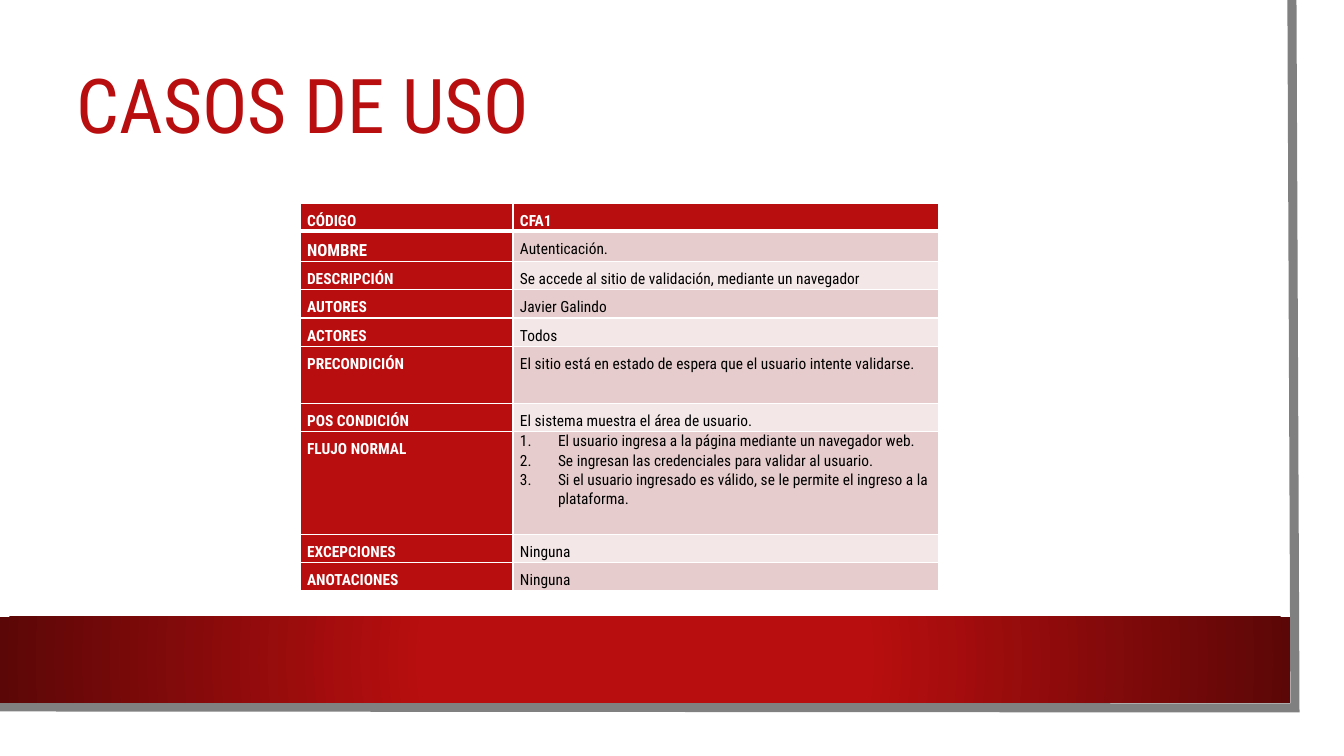
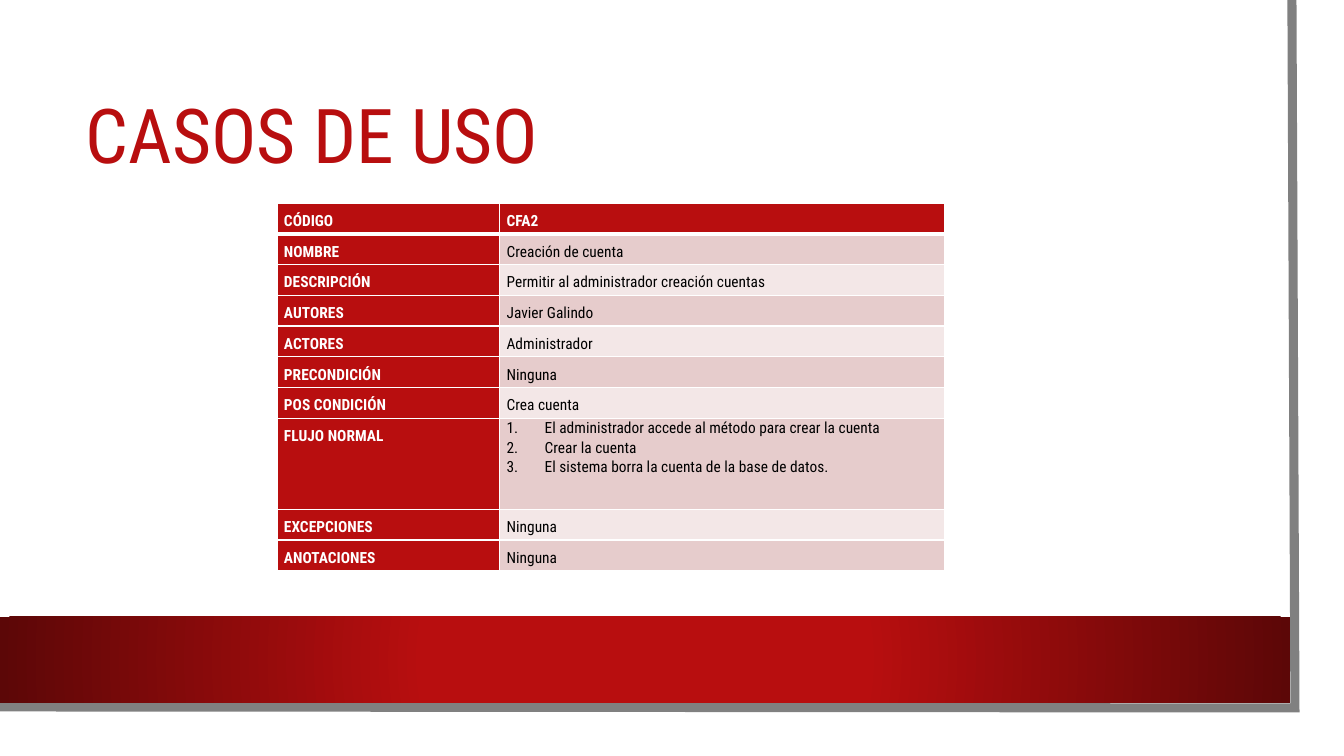
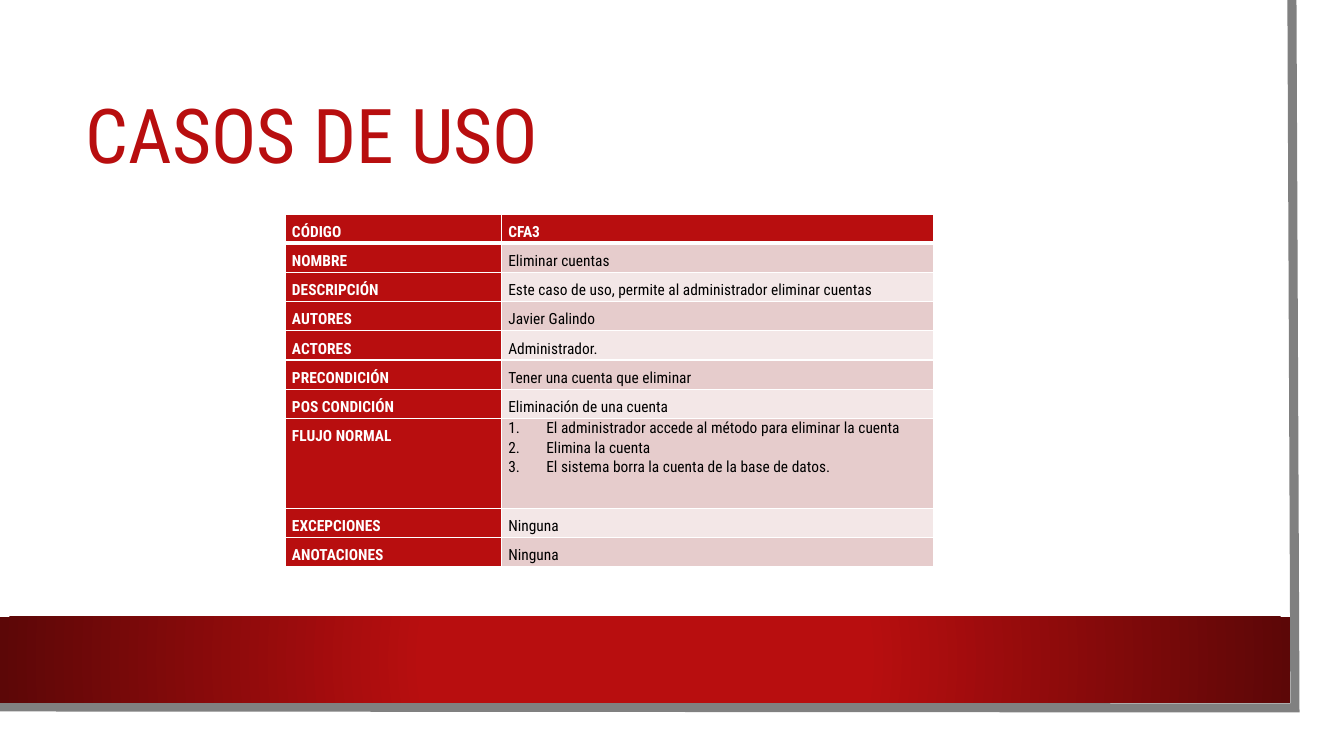
from pptx import Presentation
from pptx import util as u
from pptx.dml.color import RGBColor
from pptx.enum import shapes, text
from pptx.oxml import parse_xml
from pptx.oxml.ns import nsdecls, qn

SCALE = 914400 / 100.8  # EMU in one px
FONT = "Roboto Condensed"
RED, DARK_RED, GRAY = "B80E0F", "5C0707", "808080"
WHITE, BLACK = "FFFFFF", "000000"
BANDS = ("F3E7E7", "E6CCCC")  # even rows, odd rows

LABELS = ("CÓDIGO", "NOMBRE", "DESCRIPCIÓN", "AUTORES", "ACTORES", "PRECONDICIÓN",
          "POS CONDICIÓN", "FLUJO NORMAL", "EXCEPCIONES", "ANOTACIONES")
AUTHOR, NONE = "Javier Galindo", "Ninguna"

# A list in "values" becomes numbered steps; "tall" gives the heights of the larger rows
USE_CASES = (
    dict(title_at=(67, 46), table_at=(300, 203), size=(639, 386), tall={5: 57, 7: 103},
         label_sizes={1: 12},
         values=("CFA1", "Autenticación.",
                 "Se accede al sitio de validación, mediante un navegador",
                 AUTHOR, "Todos",
                 "El sitio está en estado de espera que el usuario intente validarse.",
                 "El sistema muestra el área de usuario.",
                 ["El usuario ingresa a la página mediante un navegador web.",
                  "Se ingresan las credenciales para validar al usuario.",
                  "Si el usuario ingresado es válido, se le permite el ingreso a la plataforma."],
                 NONE, NONE)),
    dict(title_at=(76, 76), table_at=(277, 203), size=(668, 368), tall={7: 91},
         label_sizes={},
         values=("CFA2", "Creación de cuenta", "Permitir al administrador creación cuentas",
                 AUTHOR, "Administrador", NONE, "Crea cuenta",
                 ["El administrador accede al método para crear la cuenta",
                  "Crear la cuenta",
                  "El sistema borra la cuenta de la base de datos."],
                 NONE, NONE)),
    dict(title_at=(76, 76), table_at=(285, 214), size=(649, 353), tall={7: 90},
         label_sizes={},
         values=("CFA3", "Eliminar cuentas",
                 "Este caso de uso, permite al administrador eliminar cuentas",
                 AUTHOR, "Administrador.", "Tener una cuenta que eliminar",
                 "Eliminación de una cuenta",
                 ["El administrador accede al método para eliminar la cuenta",
                  "Elimina la cuenta",
                  "El sistema borra la cuenta de la base de datos."],
                 NONE, NONE)),
)


def px(length):
    return u.Emu(round(length * SCALE))


def color(code):
    return RGBColor.from_string(code)


def set_all(target, values):
    for name, value in values.items():
        setattr(target, name, value)


def write(paragraph, words, size, ink, bold=False, **layout):
    set_all(paragraph, layout)
    run = paragraph.add_run()
    run.text = words
    set_all(run.font, dict(name=FONT, size=u.Pt(size), bold=bold))
    run.font.color.rgb = color(ink)


def add_rectangle(slide, left, top, width, height, fill):
    rectangle = slide.shapes.add_shape(shapes.MSO_SHAPE.RECTANGLE,
                                       *map(px, (left, top, width, height)))
    rectangle.shadow.inherit = False
    rectangle.line.fill.background()
    rectangle.fill.solid()
    rectangle.fill.fore_color.rgb = color(fill)
    return rectangle


def add_glow(shape, center, edge):
    properties = shape.fill._xPr
    glow = parse_xml(
        f'<a:gradFill {nsdecls("a")} rotWithShape="1"><a:gsLst>'
        f'<a:gs pos="34000"><a:srgbClr val="{center}"/></a:gs>'
        f'<a:gs pos="100000"><a:srgbClr val="{edge}"/></a:gs></a:gsLst>'
        '<a:path path="circle"><a:fillToRect l="50000" t="50000" r="50000" b="50000"/>'
        '</a:path></a:gradFill>')
    properties.replace(properties.find(qn("a:solidFill")), glow)


def add_frame(slide):
    add_rectangle(slide, 0, 0, 1320, 733, WHITE)
    # Gray edge along the right and the bottom
    outline = slide.shapes.build_freeform(1292, 0, scale=SCALE)
    outline.add_line_segments([(1295, 708), (-3, 707)], close=False)
    edge = outline.convert_to_shape()
    edge.shadow.inherit = False
    edge.fill.background()
    edge.line.color.rgb = color(GRAY)
    edge.line.width = u.Pt(6.5)
    edge.line._ln.append(parse_xml(f'<a:miter {nsdecls("a")} lim="800000"/>'))
    # Red band at the foot
    add_glow(add_rectangle(slide, 0, 617, 1290, 86, RED), RED, DARK_RED)


def add_title(slide, left, top):
    title = slide.shapes.add_textbox(*map(px, (left, top, 1146, 127))).text_frame
    set_all(title, dict(word_wrap=True, vertical_anchor=text.MSO_ANCHOR.MIDDLE))
    write(title.paragraphs[0], "CASOS DE USO", 54, RED, line_spacing=0.9)


def style_cell(cell, fill, top=1, bottom=1):
    set_all(cell, dict(margin_left=px(7), margin_right=px(7), margin_top=0, margin_bottom=0))
    properties = cell._tc.get_or_add_tcPr()
    for side, width in dict(L=1, R=1, T=top, B=bottom).items():
        properties.append(parse_xml(
            f'<a:ln{side} {nsdecls("a")} w="{u.Pt(width)}"><a:solidFill>'
            f'<a:srgbClr val="{WHITE}"/></a:solidFill></a:ln{side}>'))
    cell.fill.solid()
    cell.fill.fore_color.rgb = color(fill)


def write_line(cell, words, size, ink, bold):
    write(cell.text_frame.paragraphs[0], words, size, ink, bold,
          alignment=text.PP_ALIGN.JUSTIFY, line_spacing=1.5)


def write_steps(cell, steps):
    frame = cell.text_frame
    for number, step in enumerate(steps):
        paragraph = frame.add_paragraph() if number else frame.paragraphs[0]
        write(paragraph, step, 11, BLACK, line_spacing=1.07, alignment=text.PP_ALIGN.LEFT)
        properties = paragraph._p.get_or_add_pPr()
        properties.set("marL", str(px(38)))
        properties.set("indent", str(-px(38)))
        properties.append(parse_xml(f'<a:buAutoNum {nsdecls("a")} type="arabicPeriod"/>'))


def add_use_case(slide, table_at, size, tall, label_sizes, values):
    width, height = size
    table = slide.shapes.add_table(len(LABELS), 2, *map(px, (*table_at, *size))).table
    table.columns[0].width, table.columns[1].width = px(width / 3), px(width * 2 / 3)
    plain_height = (height - sum(tall.values())) / (len(LABELS) - len(tall))

    for row, (label, value) in enumerate(zip(LABELS, values)):
        table.rows[row].height = px(tall.get(row, plain_height))
        header = row == 0
        label_cell, value_cell = table.cell(row, 0), table.cell(row, 1)
        # A thick rule parts the header from the rows
        rules = dict(top=3 if row == 1 else 1, bottom=3 if header else 1)
        style_cell(label_cell, RED, **rules)
        style_cell(value_cell, RED if header else BANDS[row % 2], **rules)
        write_line(label_cell, label, label_sizes.get(row, 11), WHITE, True)
        if isinstance(value, list):
            write_steps(value_cell, value)
        else:
            write_line(value_cell, value, 11, WHITE if header else BLACK, header)


def main():
    deck = Presentation()
    set_all(deck, dict(slide_width=px(1344), slide_height=px(756)))
    for use_case in USE_CASES:
        slide = deck.slides.add_slide(deck.slide_layouts[6])
        add_frame(slide)
        add_title(slide, *use_case["title_at"])
        add_use_case(slide, **{key: part for key, part in use_case.items() if key != "title_at"})
    deck.save("out.pptx")


if __name__ == "__main__":
    main()
